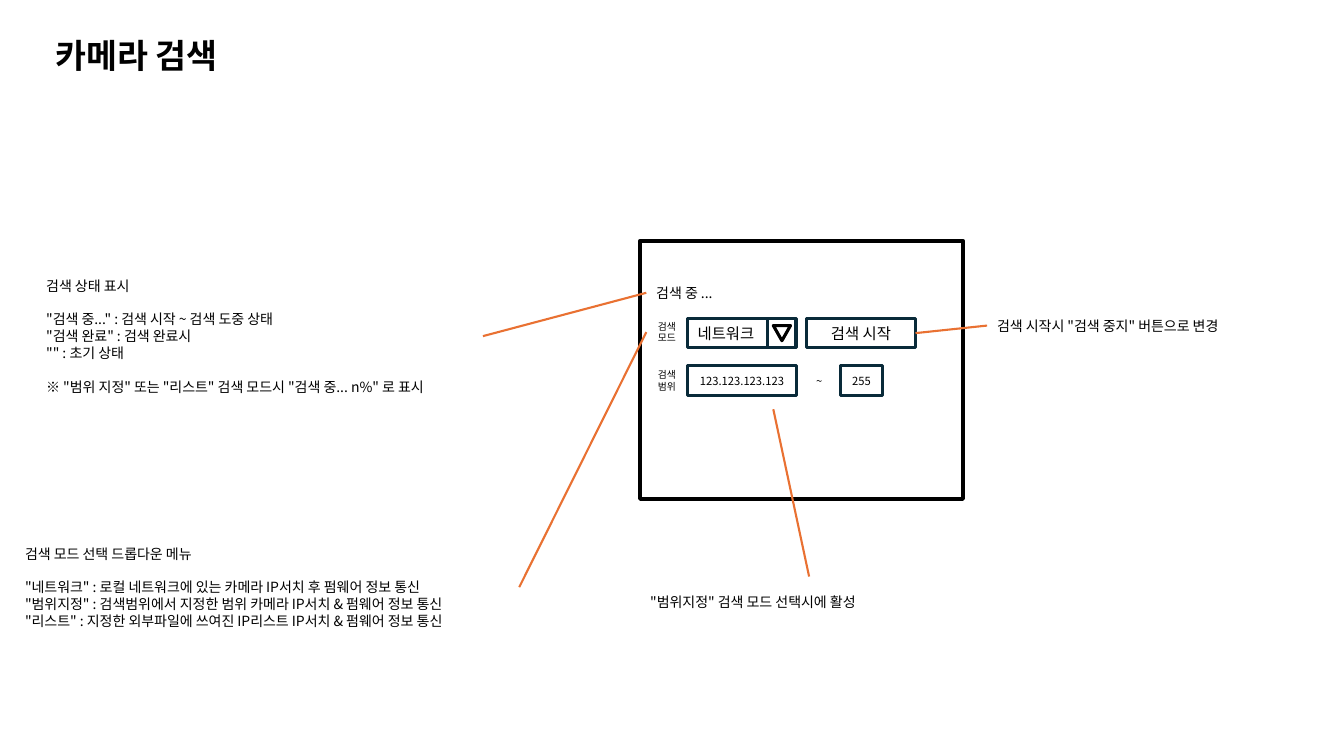
from lxml import etree
from pptx import Presentation, util as u
from pptx.dml.color import RGBColor
from pptx.enum import shapes, text
from pptx.oxml.ns import qn

PX = 9144  # 100 px to the inch
FONT = "Noto Sans CJK KR"
BLACK, NAVY, ORANGE = "000000", "092A39", "E97132"
TOP, LEFT, RIGHT = 0, 1, 3

prs = Presentation()
prs.slide_width, prs.slide_height = 1333 * PX, 750 * PX
s = prs.slides.add_slide(prs.slide_layouts[6])


def color(value):
    return RGBColor.from_string(value)


def put(box, content="", kind=None, line=NAVY, width=2.25, size=10, bold=False,
        center=False, anchor=text.MSO_ANCHOR.MIDDLE, wrap=True):
    """Add a text box, or an outlined shape if kind is given; a blank line becomes spacing."""
    box = [v * PX for v in box]
    if kind is None:
        sp = s.shapes.add_textbox(*box)
    else:
        sp = s.shapes.add_shape(kind, *box)
        sp.shadow.inherit = False
        sp.fill.background()
        sp.line.color.rgb = color(line)
        sp.line.width = u.Pt(width)
    tf = sp.text_frame
    tf.word_wrap, tf.vertical_anchor = wrap, anchor
    for b, block in enumerate(content.split("\n\n") if content else []):
        for i, words in enumerate(block.split("\n")):
            p = tf.add_paragraph() if b or i else tf.paragraphs[0]
            p.alignment = text.PP_ALIGN.CENTER if center else text.PP_ALIGN.LEFT
            if b and not i:
                p.space_before = u.Pt(size * 1.2)
            r = p.add_run()
            r.text = words
            r.font.name, r.font.size, r.font.bold = FONT, u.Pt(size), bold
            r.font.color.rgb = color(BLACK)
            etree.SubElement(r.font._element, qn("a:ea")).set("typeface", FONT)
    return sp


RECT = shapes.MSO_SHAPE.RECTANGLE
MODE_Y, RANGE_Y, ROW_H = 316, 363, 29

# Search panel
put((635, 239, 320, 256), kind=RECT, line=BLACK, width=3)
put((45, 30, 200, 50), "카메라 검색", size=24, bold=True, wrap=False,
    anchor=text.MSO_ANCHOR.TOP)
put((682, RANGE_Y, 108, ROW_H), "123.123.123.123", RECT, size=8, center=True)
put((834, RANGE_Y, 41, ROW_H), "255", RECT, size=8, center=True)
put((682, MODE_Y, 108, ROW_H), "네트워크", RECT, size=11)
start_button = put((800, MODE_Y, 108, ROW_H), "검색 시작", RECT, size=11, center=True)
put((792, RANGE_Y, 41, ROW_H), "~", size=8, center=True)
put((641, RANGE_Y, 41, ROW_H), "검색범위", size=7, center=True)
mode_label = put((641, MODE_Y - 1, 41, ROW_H), "검색모드", size=7, center=True)
put((761, MODE_Y, 28, ROW_H), kind=RECT)
arrow = put((767, 323, 17, 15), kind=shapes.MSO_SHAPE.ISOSCELES_TRIANGLE, line=BLACK)
arrow.rotation = 180
status = put((641, 276, 108, ROW_H), "검색 중 ...")

# Notes
status_note = put((36, 264, 443, 139), """검색 상태 표시

"검색 중..." : 검색 시작 ~ 검색 도중 상태
"검색 완료" : 검색 완료시
"" : 초기 상태

※ "범위 지정" 또는 "리스트" 검색 모드시 "검색 중... n%" 로 표시""")
mode_note = put((15, 520, 500, 125), """검색 모드 선택 드롭다운 메뉴

"네트워크" : 로컬 네트워크에 있는 카메라 IP서치 후 펌웨어 정보 통신
"범위지정" : 검색범위에서 지정한 범위 카메라 IP서치 & 펌웨어 정보 통신
"리스트" : 지정한 외부파일에 쓰여진 IP리스트 IP서치 & 펌웨어 정보 통신""")
range_note = put((635, 572, 335, 50), '"범위지정" 검색 모드 선택시에 활성')
start_note = put((979, 298, 335, 50), '검색 시작시 "검색 중지" 버튼으로 변경')

# Leader lines; the one for the range row ends freely below it
for note, side, target, target_side in (
    (status_note, RIGHT, status, LEFT),
    (mode_note, RIGHT, mode_label, LEFT),
    (range_note, TOP, None, None),
    (start_note, LEFT, start_button, RIGHT),
):
    leader = s.shapes.add_connector(shapes.MSO_CONNECTOR.STRAIGHT,
                                    802 * PX, 572 * PX, 767 * PX, 406 * PX)
    leader.begin_connect(note, side)
    if target is not None:
        leader.end_connect(target, target_side)
    leader.line.color.rgb = color(ORANGE)
    leader.line.width = u.Pt(1.5)
    etree.SubElement(leader._element.spPr, qn("a:effectLst"))

prs.save("out.pptx")
